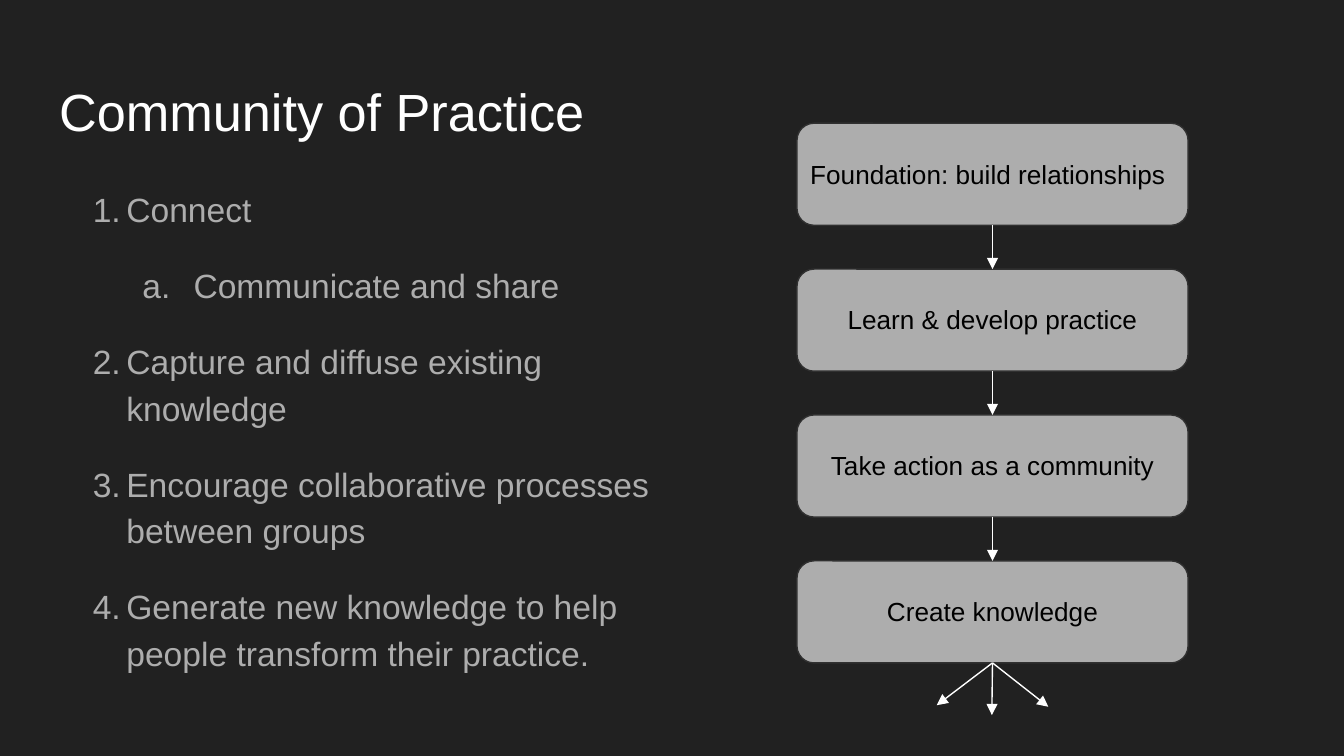
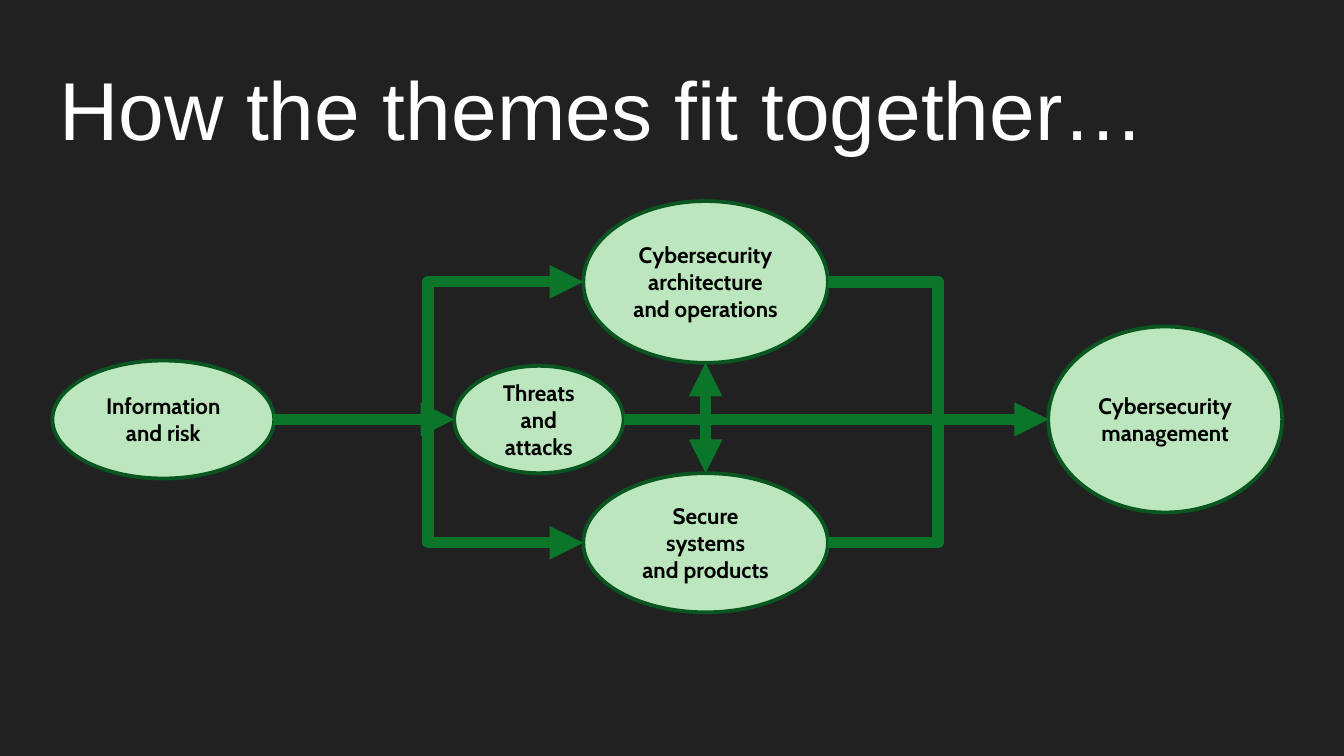
import lxml.etree
import pptx
import pptx.dml.color
import pptx.enum.shapes
import pptx.enum.text
import pptx.oxml.ns
import pptx.util

COLOURS = {
    "background": "212121", "title": "FFFFFF", "body": "ADADAD",
    "step": "ADADAD", "step line": "303030", "label": "000000",
    "theme": "BCE7BE", "theme line": "0A5621", "theme arrow": "0B752A",
}
RGB = {name: pptx.dml.color.RGBColor.from_string(value) for name, value in COLOURS.items()}
ALIGN = pptx.enum.text.PP_ALIGN
ANCHOR = pptx.enum.text.MSO_ANCHOR
SHAPE = pptx.enum.shapes.MSO_SHAPE
CONNECTOR = pptx.enum.shapes.MSO_CONNECTOR
Pt = pptx.util.Pt
qn = pptx.oxml.ns.qn

TITLE_PARAGRAPH = {"alignment": ALIGN.LEFT}
LIST_PARAGRAPH = {"alignment": ALIGN.LEFT, "line_spacing": 1.15,
                  "space_before": Pt(0), "space_after": Pt(16)}
LABEL_PARAGRAPH = {"alignment": ALIGN.CENTER, "line_spacing": 1.15, "space_after": Pt(16)}
THEME_PARAGRAPH = {"alignment": ALIGN.CENTER}


def write(shape, lines, colour, paragraph_format, font_format, anchor=ANCHOR.TOP, inset=0.1):
    """Fill a shape with one paragraph per line; inset is the top and bottom margin."""
    frame = shape.text_frame
    frame.text = "\n".join(lines)
    margins = {"margin_left": 0.1, "margin_right": 0.1, "margin_top": inset, "margin_bottom": inset}
    for name, value in margins.items():
        setattr(frame, name, pptx.util.Inches(value))
    frame.word_wrap = True
    frame.auto_size = pptx.enum.text.MSO_AUTO_SIZE.NONE
    frame.vertical_anchor = anchor
    for paragraph in frame.paragraphs:
        for name, value in paragraph_format.items():
            setattr(paragraph, name, value)
        font = paragraph.runs[0].font
        for name, value in font_format.items():
            setattr(font, name, value)
        font.color.rgb = RGB[colour]


def draw_arrow(slide, kind, start, end, colour, width):
    """Draw a connector between two grid points, with a triangle at its end."""
    connector = slide.shapes.add_connector(
        kind, start[0] * column, start[1] * row, end[0] * column, end[1] * row)
    connector.line.color.rgb = RGB[colour]
    connector.line.width = Pt(width)
    line = connector.line._get_or_add_ln()
    lxml.etree.SubElement(line, qn("a:tailEnd"), type="triangle")
    lxml.etree.SubElement(connector._element.spPr, qn("a:effectLst"))
    return connector


presentation = pptx.Presentation()
presentation.slide_width = pptx.util.Inches(10)
presentation.slide_height = pptx.util.Inches(5.625)
# The grid has 1000 columns and 1000 rows.
column = presentation.slide_width // 1000
row = presentation.slide_height // 1000

background = presentation.slide_master.background.fill
background.solid()
background.fore_color.rgb = RGB["background"]

slides = []
for layout, heading, title_width, size, anchor, inset in [
    (1, "Community of Practice", 441, 28, ANCHOR.TOP, 0.1),
    (5, "How the themes fit together…", 932, 44, ANCHOR.MIDDLE, 0.05),
]:
    slide = presentation.slides.add_slide(presentation.slide_layouts[layout])
    title = slide.shapes.title
    title.left, title.top = 34 * column, 87 * row
    title.width, title.height = title_width * column, 112 * row
    write(title, [heading], "title", TITLE_PARAGRAPH,
          {"name": "Arial", "size": Pt(size)}, anchor, inset)
    slides.append(slide)
practice_slide, themes_slide = slides

# Community of Practice: numbered list
goals = [
    (0, "Connect"),
    (1, "Communicate and share"),
    (0, "Capture and diffuse existing knowledge"),
    (0, "Encourage collaborative processes between groups"),
    (0, "Generate new knowledge to help people transform their practice."),
]
numbering = [("arabicPeriod", 0.5, -0.25), ("alphaLcPeriod", 1, -0.38)]
body = practice_slide.placeholders[1]
body.left, body.top = 34 * column, 224 * row
body.width, body.height = 464 * column, 665 * row
write(body, [text for level, text in goals], "body", LIST_PARAGRAPH,
      {"name": "Arial", "size": Pt(18)})
for paragraph, (level, text) in zip(body.text_frame.paragraphs, goals):
    scheme, margin, indent = numbering[level]
    paragraph.level = level
    properties = paragraph._p.get_or_add_pPr()
    properties.set("marL", str(pptx.util.Inches(margin)))
    properties.set("indent", str(pptx.util.Inches(indent)))
    bullet_colour = lxml.etree.SubElement(properties, qn("a:buClr"))
    lxml.etree.SubElement(bullet_colour, qn("a:srgbClr"), val=COLOURS["body"])
    lxml.etree.SubElement(properties, qn("a:buFont"), typeface="Arial")
    lxml.etree.SubElement(properties, qn("a:buAutoNum"), type=scheme)

# Community of Practice: chain of steps
step_left, step_top, step_width, step_height, step_pitch = 593, 163, 291, 135, 193
step_middle = step_left + step_width // 2
steps = []
for index, (text, alignment) in enumerate([
    ("Foundation: build relationships", ALIGN.LEFT),
    ("Learn & develop practice", ALIGN.CENTER),
    ("Take action as a community", ALIGN.CENTER),
    ("Create knowledge", ALIGN.CENTER),
]):
    top = step_top + index * step_pitch
    step = practice_slide.shapes.add_shape(
        SHAPE.ROUNDED_RECTANGLE, step_left * column, top * row,
        step_width * column, step_height * row)
    step.shadow.inherit = False
    step.fill.solid()
    step.fill.fore_color.rgb = RGB["step"]
    step.line.color.rgb = RGB["step line"]
    step.line.width = Pt(0.75)
    steps.append(step)
    label = practice_slide.shapes.add_textbox(
        step_left * column, (top + 22) * row, step_width * column, 84 * row)
    write(label, [text], "label", LABEL_PARAGRAPH | {"alignment": alignment},
          {"name": "Arial", "size": Pt(14)})

for index, (upper, lower) in enumerate(zip(steps, steps[1:])):
    bottom = step_top + index * step_pitch + step_height
    arrow = draw_arrow(practice_slide, CONNECTOR.STRAIGHT, (step_middle, bottom),
                       (step_middle, step_top + (index + 1) * step_pitch), "title", 0.75)
    arrow.begin_connect(upper, 2)
    arrow.end_connect(lower, 0)

chain_bottom = step_top + 3 * step_pitch + step_height
for fan_end in [(697, 933), (step_middle, 946), (780, 935)]:
    arrow = draw_arrow(practice_slide, CONNECTOR.STRAIGHT,
                       (step_middle, chain_bottom), fan_end, "title", 0.75)
    arrow.begin_connect(steps[-1], 2)

# How the themes fit together: ellipses, given by centre and size
upper_row, middle_row, lower_row = 373, 555, 718
themes = {
    "risk": (121, middle_row, 165, 156, ["Information", "and risk"]),
    "threats": (401, middle_row, 126, 142, ["Threats", "and attacks"]),
    "architecture": (525, upper_row, 182, 214,
                     ["Cybersecurity", "architecture", "and operations"]),
    "systems": (525, lower_row, 182, 184, ["Secure systems", "and products"]),
    "management": (867, middle_row, 174, 246, ["Cybersecurity", "management"]),
}
ellipses = {}
for name, (x, y, width, height, lines) in themes.items():
    ellipse = themes_slide.shapes.add_shape(
        SHAPE.OVAL, (x - width // 2) * column, (y - height // 2) * row,
        width * column, height * row)
    ellipse.shadow.inherit = False
    ellipse.fill.solid()
    ellipse.fill.fore_color.rgb = RGB["theme"]
    ellipse.line.color.rgb = RGB["theme line"]
    ellipse.line.width = Pt(2)
    write(ellipse, lines, "label", THEME_PARAGRAPH,
          {"name": "Cabin", "size": Pt(12), "bold": True}, ANCHOR.MIDDLE, 0.05)
    ellipses[name] = ellipse

# Each side of an ellipse: connection site, horizontal and vertical direction
sides = {"top": (0, 0, -1), "left": (2, -1, 0), "bottom": (4, 0, 1), "right": (6, 1, 0)}
for source, target, target_side in [
    ("architecture", "management", "left"),
    ("systems", "management", "left"),
    ("risk", "systems", "left"),
    ("risk", "architecture", "left"),
    ("threats", "architecture", "bottom"),
    ("risk", "threats", "left"),
    ("threats", "systems", "top"),
    ("threats", "management", "left"),
]:
    points, joints = [], []
    for name, side in [(source, "right"), (target, target_side)]:
        x, y, width, height, lines = themes[name]
        site, across, down = sides[side]
        points.append((x + across * width // 2, y + down * height // 2))
        joints.append((ellipses[name].shape_id, site))
    arrow = draw_arrow(themes_slide, CONNECTOR.ELBOW, *points, "theme arrow", 6)
    if target_side != "left":
        arrow._element.spPr.find(qn("a:prstGeom")).set("prst", "bentConnector2")
    links = arrow._element.nvCxnSpPr.cNvCxnSpPr
    for tag, (shape_id, site) in zip(["a:stCxn", "a:endCxn"], joints):
        lxml.etree.SubElement(links, qn(tag), id=str(shape_id), idx=str(site))

presentation.save("out.pptx")
